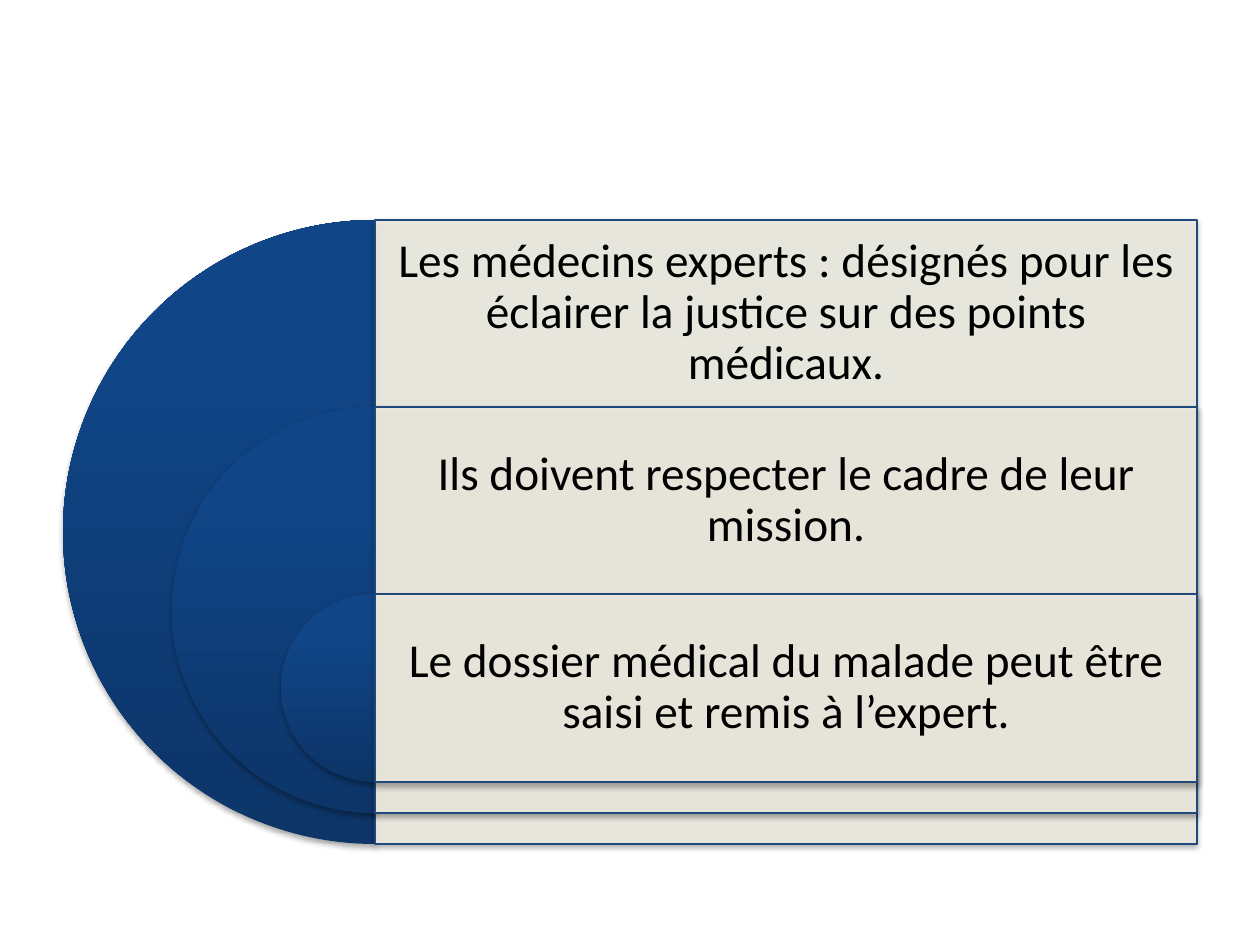
"""Build the slide of nested half discs with three statements on medical experts."""
from pptx import Presentation
from pptx.dml.color import RGBColor
from pptx.enum.shapes import MSO_SHAPE
from pptx.enum.text import MSO_ANCHOR, PP_ALIGN
from pptx.oxml import parse_xml
from pptx.oxml.ns import nsdecls, qn
from pptx.util import Emu, Pt

NAVY = RGBColor(0x0D, 0x35, 0x68)
BLUE = RGBColor(0x10, 0x45, 0x87)
BRIGHT_BLUE = RGBColor(0x0E, 0x45, 0x8A)
BORDER = RGBColor(0x1F, 0x49, 0x7D)
CREAM = RGBColor(0xEE, 0xEC, 0xE1)
BLACK = RGBColor(0, 0, 0)

DISC_STOPS = ((0, NAVY), (80, BLUE), (100, BRIGHT_BLUE))
STATEMENTS = (
    "Les médecins experts : désignés pour les éclairer la justice sur des points médicaux.",
    "Ils doivent respecter le cadre de leur mission.",
    "Le dossier médical du malade peut être saisi et remis à l’expert.",
)
AXIS, TOP, PANEL_WIDTH = 375, 220, 822
ROW_HEIGHT, OUTER_DIAMETER, DIAMETER_STEP = 187, 624, 218


def px(length):
    """Turn pixels into EMU at 126 pixels to the inch."""
    return Emu(round(length * 914400 / 126))


def add_shadow(shape):
    """Give a shape a soft shadow straight below it."""
    shape.shadow.inherit = False
    effects = shape._element.spPr.find(qn("a:effectLst"))
    effects.append(parse_xml(
        f'<a:outerShdw {nsdecls("a")} blurRad="40000" dist="23000" dir="5400000" rotWithShape="0">'
        '<a:srgbClr val="000000"><a:alpha val="35000"/></a:srgbClr></a:outerShdw>'))


def add_half_disc(slide, top, diameter):
    """Add the left half of a disc with a vertical gradient."""
    disc = slide.shapes.add_shape(
        MSO_SHAPE.PIE, px(AXIS - diameter / 2), px(top), px(diameter), px(diameter))
    disc.adjustments[0] = 54
    disc.adjustments[1] = 162
    stops = "".join(
        f'<a:gs pos="{position * 1000}"><a:srgbClr val="{color}"/></a:gs>'
        for position, color in DISC_STOPS)
    disc._element.spPr.append(parse_xml(
        f'<a:gradFill {nsdecls("a")} rotWithShape="1"><a:gsLst>{stops}</a:gsLst>'
        '<a:lin ang="16200000" scaled="0"/></a:gradFill>'))
    disc.line.fill.background()
    add_shadow(disc)


def add_panel(slide, top, height):
    """Add a slightly transparent panel to the right of the axis."""
    panel = slide.shapes.add_shape(
        MSO_SHAPE.RECTANGLE, px(AXIS), px(top), px(PANEL_WIDTH), px(height))
    panel.fill.solid()
    panel.fill.fore_color.rgb = CREAM
    color = panel._element.spPr.find(qn("a:solidFill")).find(qn("a:srgbClr"))
    color.append(parse_xml(f'<a:alpha {nsdecls("a")} val="90000"/>'))
    panel.line.color.rgb = BORDER
    panel.line.width = Pt(0.75)
    add_shadow(panel)


def add_statement(slide, top, statement):
    """Add a centred statement that fills one row."""
    box = slide.shapes.add_textbox(px(AXIS), px(top), px(PANEL_WIDTH), px(ROW_HEIGHT))
    frame = box.text_frame
    frame.word_wrap = True
    frame.vertical_anchor = MSO_ANCHOR.MIDDLE
    frame.margin_left = frame.margin_right = px(14)
    frame.margin_top = frame.margin_bottom = px(14)
    frame.text = statement
    paragraph = frame.paragraphs[0]
    paragraph.alignment = PP_ALIGN.CENTER
    paragraph.line_spacing = 0.9
    font = paragraph.runs[0].font
    font.name = "Calibri"
    font.size = Pt(27)
    font.color.rgb = BLACK


def main():
    """Build and save the slide."""
    presentation = Presentation()
    presentation.slide_width = px(1260)
    presentation.slide_height = px(945)
    slide = presentation.slides.add_slide(presentation.slide_layouts[6])
    for level, statement in enumerate(STATEMENTS):
        top = TOP + level * ROW_HEIGHT
        diameter = OUTER_DIAMETER - level * DIAMETER_STEP
        add_half_disc(slide, top, diameter)
        add_panel(slide, top, diameter)
        add_statement(slide, top, statement)
    presentation.save("out.pptx")


if __name__ == "__main__":
    main()
